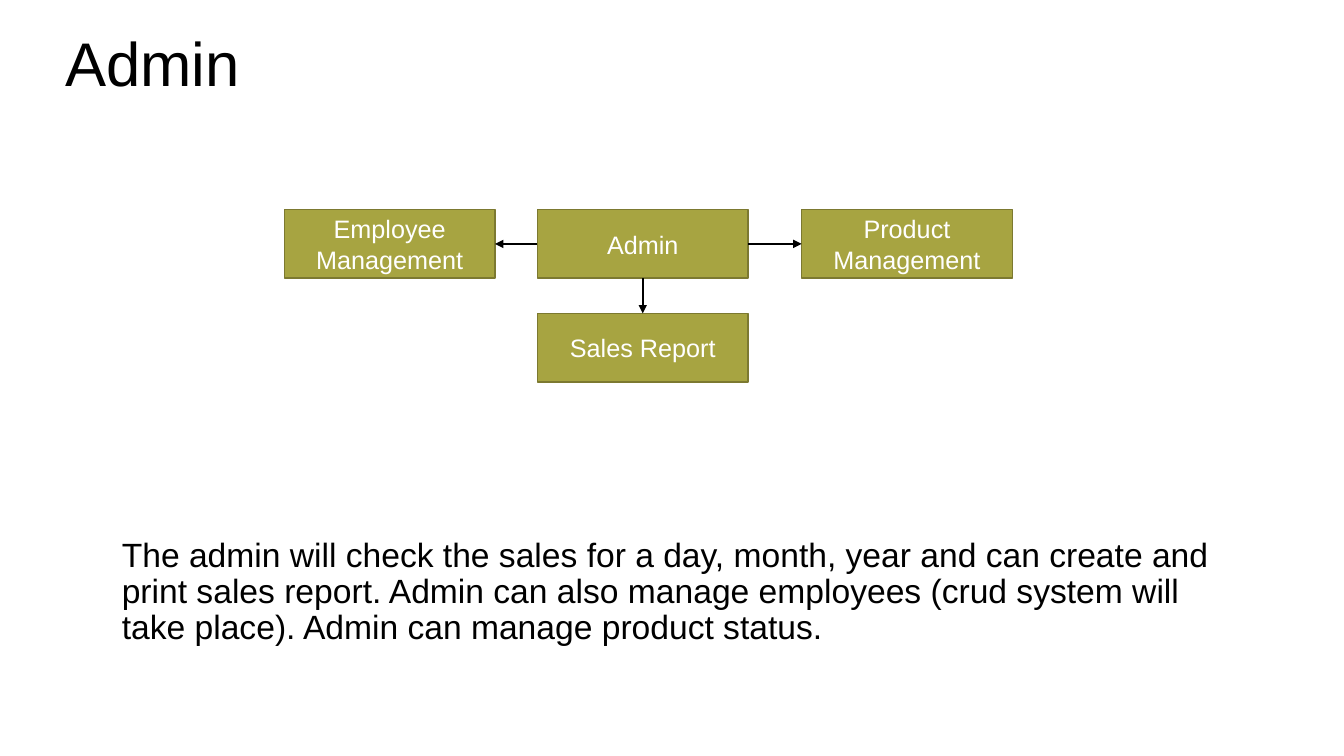
import pptx
import pptx.dml.color
import pptx.enum.shapes
import pptx.enum.text
import pptx.oxml.ns
import pptx.util
import lxml.etree

Inches = pptx.util.Inches
Pt = pptx.util.Pt
RGBColor = pptx.dml.color.RGBColor
Align = pptx.enum.text.PP_ALIGN
Anchor = pptx.enum.text.MSO_ANCHOR

OLIVE = RGBColor(0xA7, 0xA4, 0x41)
EDGE = RGBColor(0x7C, 0x79, 0x30)
BLACK = RGBColor(0x00, 0x00, 0x00)
WHITE = RGBColor(0xFF, 0xFF, 0xFF)

TOP, LEFT, BOTTOM, RIGHT = range(4)


class Chart:
    """Style and current slide."""
    font = "Arial"
    box_w, box_h = 2.09, 0.68

    def __init__(self, slide):
        self.slide = slide

    def fill_in(self, frame, words, size, color):
        frame.word_wrap = True
        para = frame.paragraphs[0]
        run = para.add_run()
        run.text = words
        run.font.name = self.font
        run.font.size = Pt(size)
        run.font.color.rgb = color
        return para

    def text(self, words, left, top, width, height, size):
        area = self.slide.shapes.add_textbox(
            Inches(left), Inches(top), Inches(width), Inches(height))
        self.fill_in(area.text_frame, words, size, BLACK).line_spacing = 0.9

    def box(self, words, left, top):
        box = self.slide.shapes.add_shape(
            pptx.enum.shapes.MSO_SHAPE.RECTANGLE, Inches(left), Inches(top),
            Inches(self.box_w), Inches(self.box_h))
        box.shadow.inherit = False
        box.fill.solid()
        box.fill.fore_color.rgb = OLIVE
        box.line.color.rgb = EDGE
        box.line.width = Pt(1)
        box.text_frame.vertical_anchor = Anchor.MIDDLE
        self.fill_in(box.text_frame, words, 18, WHITE).alignment = Align.CENTER
        return box

    def arrow(self, start, out, end, into):
        line = self.slide.shapes.add_connector(
            pptx.enum.shapes.MSO_CONNECTOR.STRAIGHT, 0, 0, 0, 0)
        line.begin_connect(start, out)
        line.end_connect(end, into)
        line.line.color.rgb = BLACK
        line.line.width = Pt(1.5)
        qn = pptx.oxml.ns.qn
        stroke = line.get_or_add_ln()
        lxml.etree.SubElement(stroke, qn("a:tailEnd"), type="triangle")
        lxml.etree.SubElement(line._element.spPr, qn("a:effectLst"))


def main():
    deck = pptx.Presentation()
    deck.slide_width = Inches(13.33)
    deck.slide_height = Inches(7.5)
    chart = Chart(deck.slides.add_slide(deck.slide_layouts[6]))

    # Title
    chart.text("Admin", 0.55, 0.28, 11.12, 1.29, 44)

    # Admin and the areas it runs
    admin = chart.box("Admin", 5.33, 2.08)
    areas = [
        ("Product Management", 7.95, 2.08, RIGHT, LEFT),
        ("Employee Management", 2.82, 2.08, LEFT, RIGHT),
        ("Sales Report", 5.33, 3.11, BOTTOM, TOP),
    ]
    for name, left, top, out, into in areas:
        chart.arrow(admin, out, chart.box(name, left, top), into)

    # Description
    chart.text(
        "The admin will check the sales for a day, month, year and can create "
        "and print sales report. Admin can also manage employees (crud system "
        "will take place). Admin can manage product status.",
        1.11, 5.29, 11.12, 1.44, 24)

    deck.save("out.pptx")


if __name__ == "__main__":
    main()
